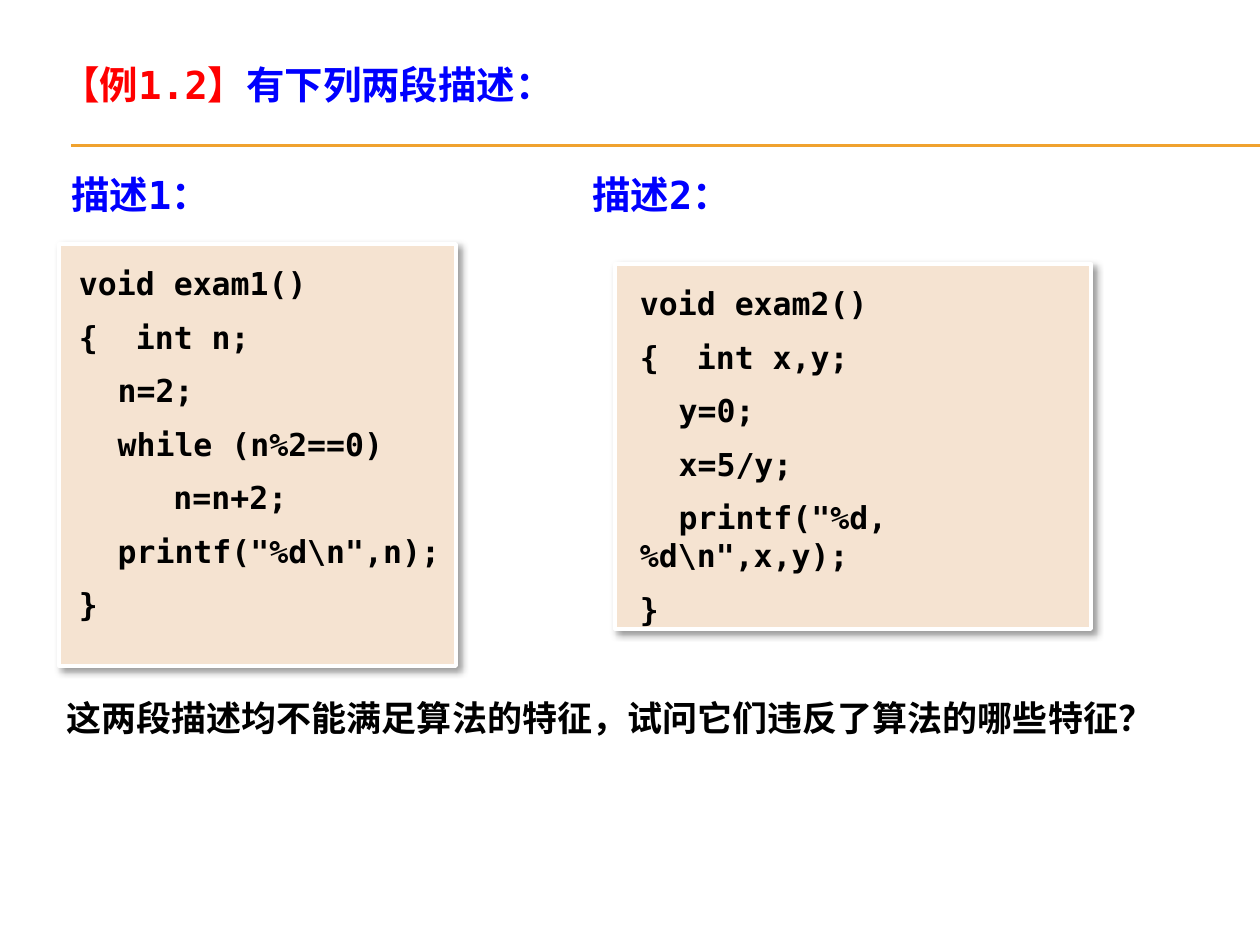
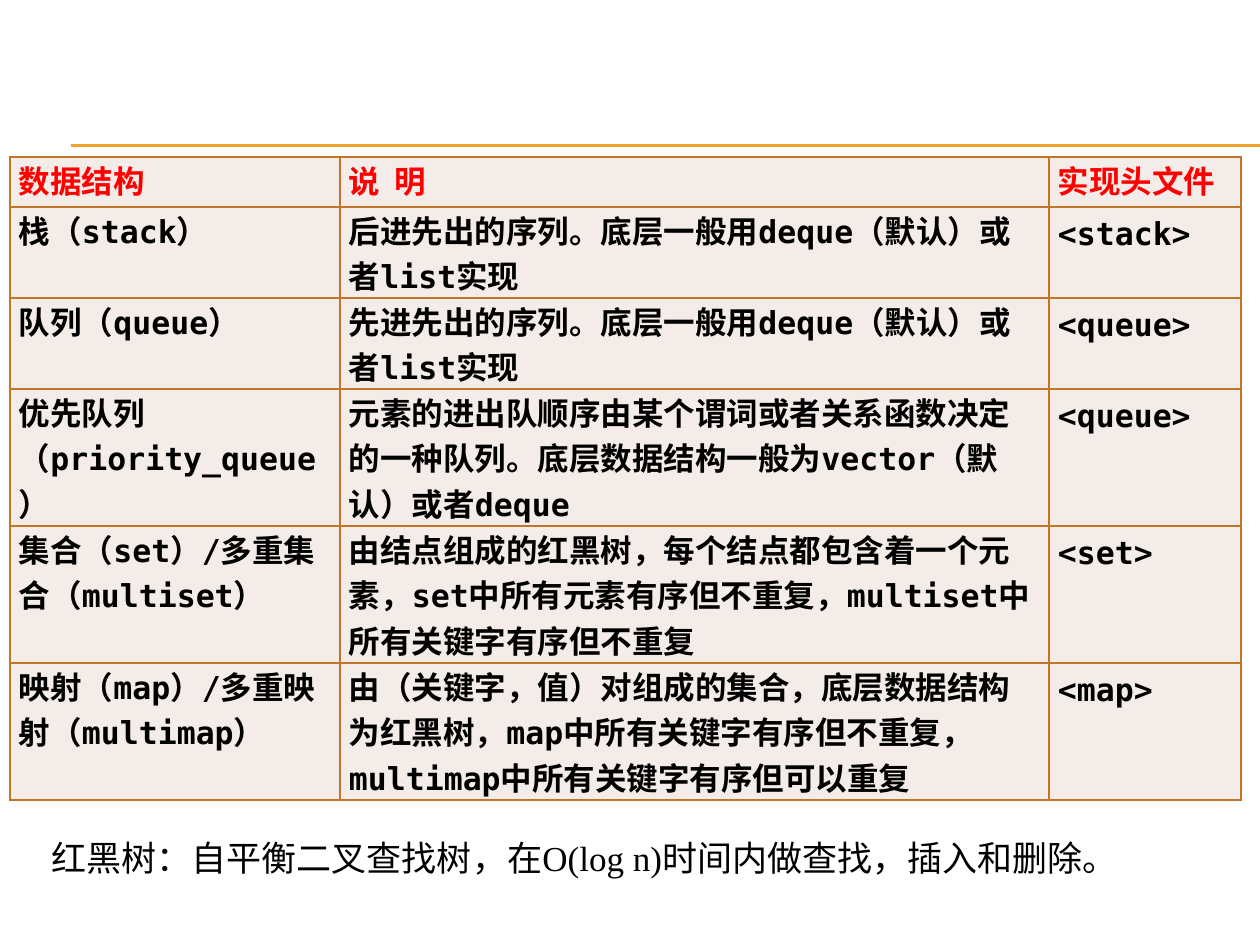
"""Build two lecture slides: algorithm examples and container data structures."""
from dataclasses import dataclass

from lxml import etree
from pptx import Presentation
from pptx.dml.color import RGBColor
from pptx.enum.lang import MSO_LANGUAGE_ID as Language
from pptx.enum.shapes import MSO_CONNECTOR as Connector, MSO_SHAPE as Preset
from pptx.enum.text import MSO_ANCHOR as Anchor, MSO_AUTO_SIZE as AutoSize, PP_ALIGN as Align
from pptx.oxml.ns import qn
from pptx.util import Emu, Pt

EMU_PER_PIXEL = 914400 / 126
TITLE_ONLY, BLANK = 5, 6
MONO, SERIF = "DejaVu Sans Mono", "Times New Roman"
COLORS = {
    "rule": "F0A22E", "red": "FF0000", "blue": "0000FF", "black": "000000",
    "white": "FFFFFF", "code": "F5E3D1", "cell": "F4ECE8", "border": "C17529",
}


@dataclass(frozen=True)
class Style:
    """Look of one run of text."""
    size: int
    font: str
    color: str
    bold: bool = True


@dataclass(frozen=True)
class Box:
    """Place of an element, in pixels."""
    left: int
    top: int
    width: int
    height: int


@dataclass(frozen=True)
class CodePanel:
    """A framed listing with its left inset in pixels."""
    box: Box
    inset: int
    lines: tuple[str, ...]


EXAMPLE = Style(22, MONO, "red")
HEADING = Style(22, MONO, "blue")
CODE = Style(18, MONO, "black")
QUESTION = Style(20, SERIF, "black")
NOTE = Style(20, SERIF, "black", bold=False)
TABLE_HEAD = Style(18, SERIF, "red")

TITLE_BOX = Box(49, 55, 571, 59)
LABEL_BOX = Box(59, 165, 963, 59)
LABEL_TAB = 521
QUESTION_BOX = Box(54, 690, 1142, 55)
NOTE_BOX = Box(39, 830, 1142, 55)

PANELS = (
    CodePanel(Box(59, 244, 397, 422), 20, (
        "void exam1()", "{  int n;", "\u3000 n=2;", "\u3000 while (n%2==0)",
        "\u3000\u3000\u3000n=n+2;", '\u3000 printf("%d\\n",n);', "}",
    )),
    CodePanel(Box(615, 264, 476, 365), 25, (
        "void exam2()", "{  int x,y;", "\u3000 y=0;", "\u3000 x=5/y;",
        '\u3000 printf("%d,%d\\n",x,y);', "}",
    )),
)

TABLE_BOX = Box(10, 157, 1231, 643)
COLUMN_WIDTHS = (330, 709, 192)
ROW_HEIGHTS = (50, 91, 91, 137, 137, 137)
TABLE_ROWS = (
    ("数据结构", "说  明", "实现头文件"),
    ("栈（stack）", "后进先出的序列。底层一般用deque（默认）或者list实现", "<stack>"),
    ("队列（queue）", "先进先出的序列。底层一般用deque（默认）或者list实现", "<queue>"),
    ("优先队列（priority_queue）",
     "元素的进出队顺序由某个谓词或者关系函数决定的一种队列。"
     "底层数据结构一般为vector（默认）或者deque", "<queue>"),
    ("集合（set）/多重集合（multiset）",
     "由结点组成的红黑树，每个结点都包含着一个元素，set中所有元素有序但不重复，"
     "multiset中所有关键字有序但不重复", "<set>"),
    ("映射（map）/多重映射（multimap）",
     "由（关键字，值）对组成的集合，底层数据结构为红黑树，"
     "map中所有关键字有序但不重复，multimap中所有关键字有序但可以重复", "<map>"),
)


def px(pixels: float) -> Emu:
    """Turn pixels into EMU."""
    return Emu(round(pixels * EMU_PER_PIXEL))


def rgb(name: str) -> RGBColor:
    """Look up a named colour."""
    return RGBColor.from_string(COLORS[name])


def place(box: Box) -> tuple[Emu, Emu, Emu, Emu]:
    """Give left, top, width and height in EMU."""
    return px(box.left), px(box.top), px(box.width), px(box.height)


def add_run(paragraph, text: str, style: Style) -> None:
    """Append one styled run."""
    run = paragraph.add_run()
    run.text = text
    font = run.font
    font.size, font.name, font.bold = Pt(style.size), style.font, style.bold
    font.color.rgb = rgb(style.color)
    font.language_id = Language.SIMPLIFIED_CHINESE


def prepare_frame(frame) -> None:
    """Make a text frame wrap from its top edge."""
    frame.word_wrap = True
    frame.auto_size = AutoSize.NONE
    frame.vertical_anchor = Anchor.TOP


def add_text(slide, box: Box, text: str, style: Style):
    """Add a one-paragraph text box and return the paragraph."""
    frame = slide.shapes.add_textbox(*place(box)).text_frame
    prepare_frame(frame)
    paragraph = frame.paragraphs[0]
    add_run(paragraph, text, style)
    return paragraph


def set_title(slide, box: Box, parts: tuple[tuple[str, Style], ...]) -> None:
    """Move the title placeholder and fill it run by run."""
    title = slide.shapes.title
    title.left, title.top, title.width, title.height = place(box)
    prepare_frame(title.text_frame)
    paragraph = title.text_frame.paragraphs[0]
    paragraph.alignment = Align.LEFT
    for text, style in parts:
        add_run(paragraph, text, style)


def add_tab_stop(paragraph, position: int) -> None:
    """Set one left tab stop, in pixels from the text edge."""
    tabs = etree.SubElement(paragraph._p.get_or_add_pPr(), qn("a:tabLst"))
    etree.SubElement(tabs, qn("a:tab"), pos=str(px(position)), algn="l")


def add_header_rule(slide) -> None:
    """Draw the double rule under the title area."""
    for y in (145, 146):
        line = slide.shapes.add_connector(Connector.STRAIGHT, px(71), px(y), px(1260), px(y))
        line.line.color.rgb = rgb("rule")
        line.line.width = Pt(0.75)
        etree.SubElement(line._element.spPr, qn("a:effectLst"))


def add_shadow(shape) -> None:
    """Give a shape a soft shadow towards the lower right."""
    shape.shadow.inherit = False
    effects = shape._element.spPr.find(qn("a:effectLst"))
    shadow = etree.SubElement(effects, qn("a:outerShdw"), blurRad=str(Pt(4)), dist=str(Pt(3)),
                              dir=str(45 * 60000), algn="tl", rotWithShape="0")
    color = etree.SubElement(shadow, qn("a:srgbClr"), val=COLORS["black"])
    etree.SubElement(color, qn("a:alpha"), val="40000")


def add_code_panel(slide, panel: CodePanel) -> None:
    """Draw a framed listing, one paragraph per line."""
    shape = slide.shapes.add_shape(Preset.RECTANGLE, *place(panel.box))
    shape.fill.solid()
    shape.fill.fore_color.rgb = rgb("code")
    shape.line.color.rgb = rgb("white")
    shape.line.width = Pt(2.25)
    add_shadow(shape)
    frame = shape.text_frame
    prepare_frame(frame)
    frame.margin_left, frame.margin_right = px(panel.inset), px(13)
    frame.margin_top = frame.margin_bottom = px(20)
    for index, line in enumerate(panel.lines):
        paragraph = frame.add_paragraph() if index else frame.paragraphs[0]
        paragraph.alignment = Align.LEFT
        paragraph.space_before = Pt(CODE.size / 2 if index else 0)
        add_run(paragraph, line, CODE)


def format_cell(cell) -> None:
    """Set a cell's insets, borders and fill."""
    cell.margin_left = cell.margin_right = px(9)
    cell.margin_top = cell.margin_bottom = 0
    properties = cell._tc.get_or_add_tcPr()
    for side in ("lnL", "lnR", "lnT", "lnB"):
        border = etree.SubElement(properties, qn(f"a:{side}"), w=str(Pt(1)))
        fill = etree.SubElement(border, qn("a:solidFill"))
        etree.SubElement(fill, qn("a:srgbClr"), val=COLORS["border"])
    cell.fill.solid()
    cell.fill.fore_color.rgb = rgb("cell")


def add_structure_table(slide) -> None:
    """Add the table of container data structures."""
    table = slide.shapes.add_table(len(TABLE_ROWS), len(COLUMN_WIDTHS), *place(TABLE_BOX)).table
    for column, width in zip(table.columns, COLUMN_WIDTHS):
        column.width = px(width)
    for row, height in zip(table.rows, ROW_HEIGHTS):
        row.height = px(height)
    for row_index, texts in enumerate(TABLE_ROWS):
        for column_index, text in enumerate(texts):
            cell = table.cell(row_index, column_index)
            format_cell(cell)
            paragraph = cell.text_frame.paragraphs[0]
            justified = row_index == 0 or column_index == 2
            paragraph.alignment = Align.JUSTIFY if justified else Align.LEFT
            paragraph.line_spacing = Pt(26)
            add_run(paragraph, text, CODE if row_index else TABLE_HEAD)


def build_example_slide(presentation) -> None:
    """Build the slide with the two descriptions."""
    slide = presentation.slides.add_slide(presentation.slide_layouts[TITLE_ONLY])
    add_header_rule(slide)
    set_title(slide, TITLE_BOX, (("【例1.2】", EXAMPLE), ("有下列两段描述：", HEADING)))
    labels = add_text(slide, LABEL_BOX, "描述1：\t描述2：", HEADING)
    add_tab_stop(labels, LABEL_TAB)
    for panel in PANELS:
        add_code_panel(slide, panel)
    add_text(slide, QUESTION_BOX, "这两段描述均不能满足算法的特征，试问它们违反了算法的哪些特征？", QUESTION)


def build_structure_slide(presentation) -> None:
    """Build the slide with the container table."""
    slide = presentation.slides.add_slide(presentation.slide_layouts[BLANK])
    add_header_rule(slide)
    add_structure_table(slide)
    add_text(slide, NOTE_BOX, "红黑树：自平衡二叉查找树，在O(log n)时间内做查找，插入和删除。", NOTE)


def main() -> None:
    """Build and save the presentation."""
    presentation = Presentation()
    presentation.slide_width, presentation.slide_height = px(1260), px(945)
    build_example_slide(presentation)
    build_structure_slide(presentation)
    presentation.save("out.pptx")


main()
